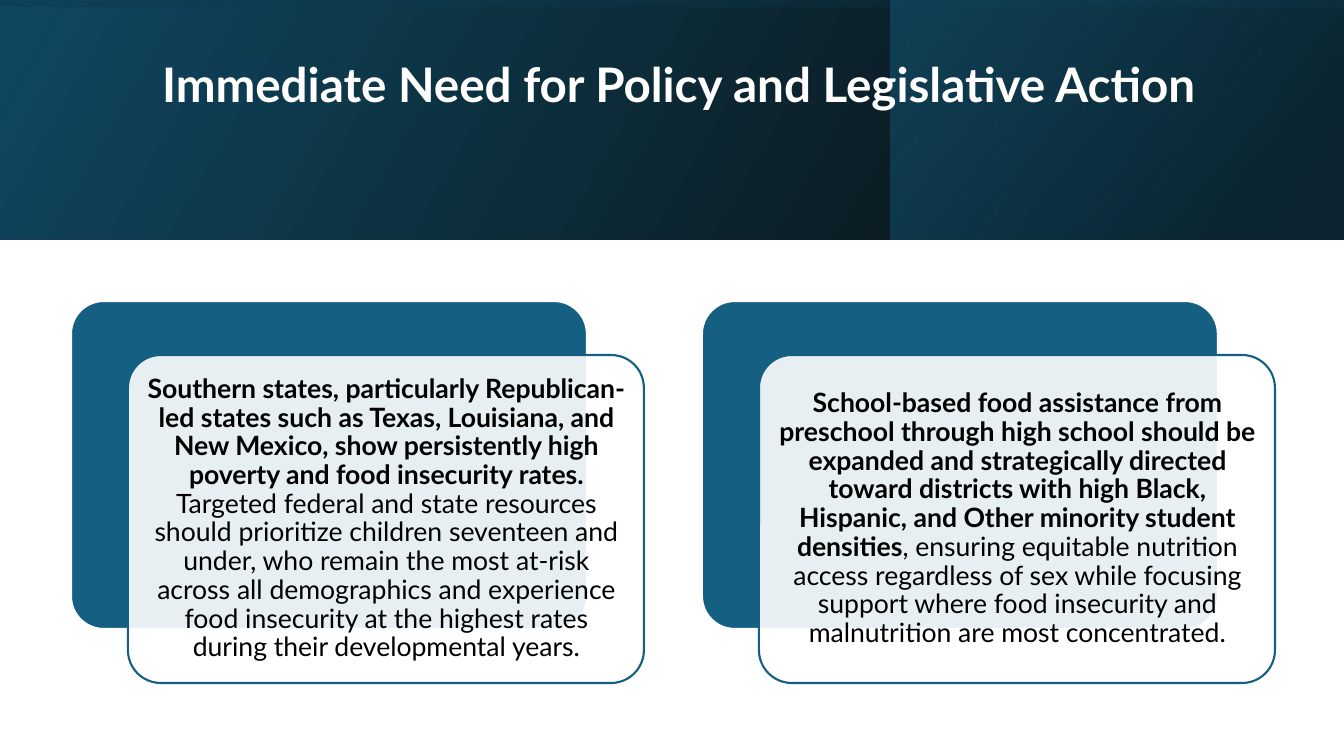
"""Build the policy action slide: gradient header, title and two layered text cards."""
from dataclasses import dataclass

import pptx
import pptx.dml.color
import pptx.enum.shapes
import pptx.enum.text
import pptx.oxml.ns
import pptx.util

PX = 914400 / 100.8
COLORS = {"white": "FFFFFF", "black": "000000", "blue": "156082",
          "navy": "104862", "deep": "0B3041"}
SHAPE = pptx.enum.shapes.MSO_SHAPE
ALIGN = pptx.enum.text.PP_ALIGN
FRAME = {"word_wrap": True, "auto_size": pptx.enum.text.MSO_AUTO_SIZE.NONE,
         "vertical_anchor": pptx.enum.text.MSO_ANCHOR.MIDDLE}
CARD_LEFT = 71
CARD_STEP = 631


@dataclass
class Stop:
    position: float
    color: str
    alpha: int


@dataclass
class Band:
    box: tuple[int, int, int, int]
    stops: tuple[Stop, Stop]
    angle: int
    rotation: int = 0


@dataclass
class Card:
    lead: str
    rest: str


BANDS = [
    Band((0, 0, 1344, 240), (Stop(0, "black", 96), Stop(1, "navy", 100)), 330),
    Band((891, 0, 452, 240), (Stop(0.19, "deep", 68), Stop(1, "blue", 48)), 320),
    Band((552, -552, 240, 1344), (Stop(0.23, "navy", 16), Stop(0.99, "black", 45)), 350, 270),
]
CARDS = [
    Card("Southern states, particularly Republican-led states such as Texas, Louisiana, "
         "and New Mexico, show persistently high poverty and food insecurity rates. ",
         "Targeted federal and state resources should prioritize children seventeen and "
         "under, who remain the most at-risk across all demographics and experience food "
         "insecurity at the highest rates during their developmental years."),
    Card("School-based food assistance from preschool through high school should be expanded "
         "and strategically directed toward districts with high Black, Hispanic, and Other "
         "minority student densities",
         ", ensuring equitable nutrition access regardless of sex while focusing support "
         "where food insecurity and malnutrition are most concentrated."),
]


def px(n: int) -> int:
    return round(n * PX)


def rgb(name: str) -> pptx.dml.color.RGBColor:
    return pptx.dml.color.RGBColor.from_string(COLORS[name])


def apply(target, values: dict) -> None:
    for name, value in values.items():
        setattr(target, name, value)


def set_alphas(sp, alphas: list[int]) -> None:
    qn = pptx.oxml.ns.qn
    for clr, alpha in zip(list(sp.element.spPr.iter(qn("a:srgbClr"))), alphas):
        if alpha < 100:
            clr.append(clr.makeelement(qn("a:alpha"), {"val": str(alpha * 1000)}))


def add_run(p, text: str, size: int, color: str, bold: bool) -> None:
    r = p.add_run()
    r.text = text
    apply(r.font, {"name": "Lato", "size": pptx.util.Pt(size), "bold": bold})
    r.font.color.rgb = rgb(color)


def add_band(s, band: Band) -> None:
    sp = s.shapes.add_shape(SHAPE.RECTANGLE, *map(px, band.box))
    sp.shadow.inherit = False
    sp.rotation = band.rotation
    sp.element.spPr.find(pptx.oxml.ns.qn("a:xfrm")).set("flipH", "1")
    sp.fill.gradient()
    sp.fill.gradient_angle = 360 - band.angle
    for gs, stop in zip(sp.fill.gradient_stops, band.stops):
        gs.position = stop.position
        gs.color.rgb = rgb(stop.color)
    set_alphas(sp, [stop.alpha for stop in band.stops])
    sp.line.fill.background()


def add_title(s, text: str) -> None:
    sp = s.shapes.title
    apply(sp, dict(zip(("left", "top", "width", "height"), map(px, (152, 38, 1072, 173)))))
    s.shapes.element.append(sp.element)
    apply(sp.text_frame, FRAME)
    p = sp.text_frame.paragraphs[0]
    apply(p, {"alignment": ALIGN.LEFT, "line_spacing": 0.9})
    add_run(p, text, 34, "white", True)
    p.add_line_break()


def add_panel(group, left: int, top: int, fill: str, line: str, alpha: int) -> None:
    sp = group.shapes.add_shape(SHAPE.ROUNDED_RECTANGLE, *map(px, (left, top, 516, 328)))
    sp.shadow.inherit = False
    sp.adjustments[0] = 0.1
    sp.fill.solid()
    sp.fill.fore_color.rgb = rgb(fill)
    set_alphas(sp, [alpha])
    sp.line.color.rgb = rgb(line)
    sp.line.width = pptx.util.Pt(1.5)


def add_card(s, card: Card, left: int) -> None:
    group = s.shapes.add_group_shape()
    add_panel(group, left, 301, "blue", "white", 100)
    add_panel(group, left + 57, 355, "white", "blue", 90)
    tf = group.shapes.add_textbox(*map(px, (left + 67, 365, 497, 308))).text_frame
    margins = dict.fromkeys(("margin_left", "margin_top", "margin_right", "margin_bottom"), px(8))
    apply(tf, FRAME | margins)
    p = tf.paragraphs[0]
    apply(p, {"alignment": ALIGN.CENTER, "line_spacing": 0.9})
    add_run(p, card.lead, 19, "black", True)
    add_run(p, card.rest, 19, "black", False)


def main() -> None:
    prs = pptx.Presentation()
    apply(prs, {"slide_width": px(1344), "slide_height": px(756)})
    s = prs.slides.add_slide(prs.slide_layouts[5])
    for band in BANDS:
        add_band(s, band)
    add_title(s, "Immediate Need for Policy and Legislative Action")
    for i, card in enumerate(CARDS):
        add_card(s, card, CARD_LEFT + i * CARD_STEP)
    prs.save("out.pptx")


if __name__ == "__main__":
    main()
